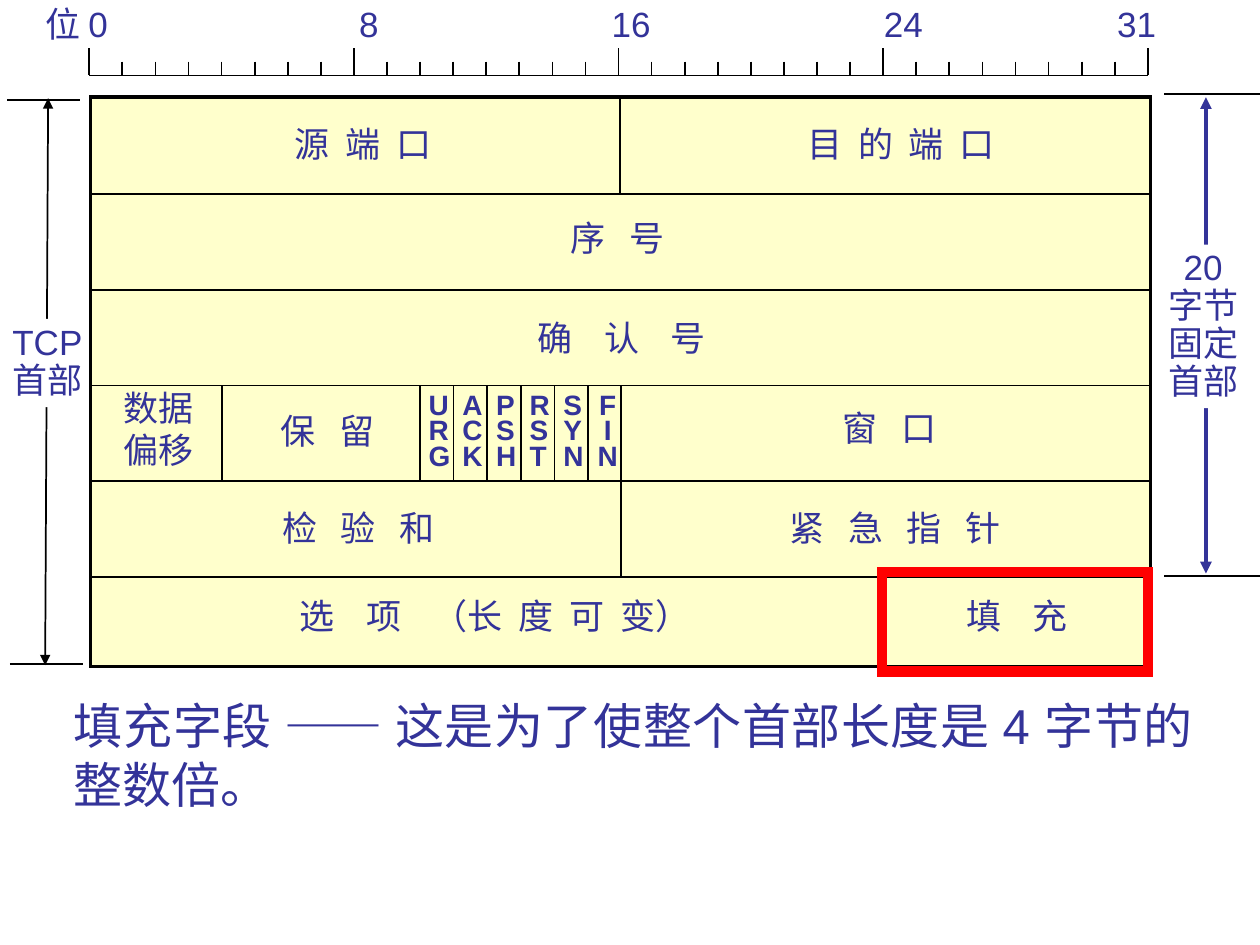
"""Build a slide that explains the padding field of the TCP header."""
from lxml import etree
from pptx import Presentation
from pptx import util as u
from pptx.dml.color import RGBColor
from pptx.enum import shapes, text
from pptx.oxml.ns import qn

COLORS = {"ink": "333399", "rule": "000000", "field": "FFFFCC",
          "paper": "FFFFFF", "accent": "FF0000"}
LEFT, TOP, WIDTH, HEIGHT = 1.83, 1.96, 21.36, 11.48
FIRST_RULE, ROW = 3.91, 1.93
MIDDLE = 12.52
FLAGS_LEFT, FLAG_WIDTH = 8.46, 0.68
RULER_LEFT, RULER_WIDTH, RULER_Y, BITS = 1.8, 21.34, 1.52, 32
GAP_STEP = 2.25

FIELDS = [
    ("源 端 口", 2, 5.69, 2.34, 4.0),
    ("目 的 端 口", 2, 16.03, 2.34, 5.0),
    ("序 号", 3, 11.25, 4.24, 3.84),
    ("确 认 号", 4, 10.59, 6.25, 5.11),
    ("保 留", 3, 5.41, 8.13, 3.0),
    ("窗 口", 3, 16.74, 8.08, 3.0),
    ("检 验 和", 3, 5.44, 10.08, 4.4),
    ("紧 急 指 针", 3, 15.67, 10.08, 5.6),
    ("填 充", 4, 19.23, 11.86, 3.48),
]
FLAGS = ["URG", "ACK", "PSH", "RST", "SYN", "FIN"]


def rgb(name):
    """Return the palette colour called name."""
    return RGBColor.from_string(COLORS[name])


def add_line(slide, start, end, color="rule", width=1, arrows=False):
    """Draw a straight line, with an arrowhead at both ends if asked."""
    line = slide.shapes.add_connector(
        shapes.MSO_CONNECTOR.STRAIGHT, *map(u.Cm, (*start, *end)))
    line.line.color.rgb = rgb(color)
    line.line.width = u.Pt(width)
    if arrows:
        for end_tag in ("a:headEnd", "a:tailEnd"):
            etree.SubElement(line.line._get_or_add_ln(), qn(end_tag), type="triangle")
    etree.SubElement(line._element.spPr, qn("a:effectLst"))


def add_frame(slide, box, color, width, fill=None):
    """Draw a square-cornered outline, filled only if a fill is named."""
    frame = slide.shapes.add_shape(shapes.MSO_SHAPE.RECTANGLE, *map(u.Cm, box))
    frame.shadow.inherit = False
    frame.line.color.rgb = rgb(color)
    frame.line.width = u.Pt(width)
    etree.SubElement(frame.line._get_or_add_ln(), qn("a:miter"), lim="800000")
    if fill:
        frame.fill.solid()
        frame.fill.fore_color.rgb = rgb(fill)
    else:
        frame.fill.background()


def add_text(slide, box, lines, size=20, bold=False, wrap=False, align="LEFT",
             spacing=None, fill=None, tabs=()):
    """Write lines, each a list of (wording, letter spacing) runs."""
    label = slide.shapes.add_textbox(*map(u.Cm, box))
    if fill:
        label.fill.solid()
        label.fill.fore_color.rgb = rgb(fill)
    frame = label.text_frame
    frame.word_wrap = wrap
    frame.auto_size = text.MSO_AUTO_SIZE.SHAPE_TO_FIT_TEXT
    for index, runs in enumerate(lines):
        paragraph = frame.add_paragraph() if index else frame.paragraphs[0]
        if tabs:
            stops = etree.SubElement(paragraph._p.get_or_add_pPr(), qn("a:tabLst"))
            for stop in tabs:
                etree.SubElement(stops, qn("a:tab"), pos=str(u.Cm(stop)), algn="l")
        paragraph.alignment = getattr(text.PP_ALIGN, align)
        if spacing:
            paragraph.line_spacing = spacing
        for wording, tracking in runs:
            run = paragraph.add_run()
            run.text = wording
            run.font.name = "Arial"
            run.font.size = u.Pt(size)
            run.font.bold = bold
            run.font.color.rgb = rgb("ink")
            if tracking:
                run._r.get_or_add_rPr().set("spc", str(round(tracking * 100)))


def plain(lines):
    """Turn each wording into a line of one run without letter spacing."""
    return [[(line, 0)] for line in lines]


def tracked(wording, gap):
    """Return a run whose letters stand about gap space widths apart."""
    return wording, GAP_STEP * (gap - 1)


def add_ruler(slide):
    """Draw the bit ruler with a tall tick at every byte."""
    add_line(slide, (RULER_LEFT, RULER_Y), (RULER_LEFT + RULER_WIDTH, RULER_Y))
    for bit in range(BITS + 1):
        x = RULER_LEFT + bit * RULER_WIDTH / BITS
        add_line(slide, (x, 1.24 if bit % 8 else 0.97), (x, RULER_Y))
    add_text(slide, (0.67, -0.08, 22.96, 1.09), plain(["位 0\t8\t16\t24\t31"]),
             wrap=True, tabs=(6.32, 11.41, 16.9, 21.6))


def add_spans(slide):
    """Mark the extent of the whole header and of its fixed part."""
    add_line(slide, (0.97, 1.98), (0.91, 13.41), arrows=True)
    add_text(slide, (0, 6.43, 1.93, 1.78), plain(["TCP", "首部"]),
             spacing=0.9, fill="paper")
    add_line(slide, (24.31, 1.96), (24.31, 11.56), "ink", 2.25, arrows=True)
    add_text(slide, (23.29, 4.93, 1.93, 3.3), plain(["20", "字节", "固定", "首部"]),
             align="CENTER", spacing=0.9, fill="paper")
    for x, y, length in ((23.47, 1.9, 2.31), (23.47, 11.61, 2.31),
                         (0.15, 2.01, 1.47), (0.2, 13.39, 1.47)):
        add_line(slide, (x, y), (x + length, y))


def add_header(slide):
    """Draw the header grid with its field names and flags."""
    add_frame(slide, (LEFT, TOP, WIDTH, HEIGHT), "rule", 2, "field")
    rules = [FIRST_RULE + row * ROW for row in range(5)]
    for y in rules:
        add_line(slide, (LEFT, y), (LEFT + WIDTH, y))
    add_line(slide, (12.5, TOP), (12.5, rules[0]))
    add_line(slide, (MIDDLE, rules[2]), (MIDDLE, rules[4]))
    flag_lefts = [FLAGS_LEFT + i * FLAG_WIDTH for i in range(len(FLAGS))]
    for x in [4.47, *flag_lefts]:
        add_line(slide, (x, rules[2]), (x, rules[3]))
    for wording, gap, x, y, width in FIELDS:
        add_text(slide, (x, y, width, 1.09), [[tracked(wording, gap)]], wrap=True)
    add_text(slide, (2.24, 7.67, 1.93, 1.93), plain(["数据", "偏移"]))
    add_text(slide, (5.79, 11.86, 10.5, 1.09),
             [[tracked("选 项 ", 4), ("（", 0), tracked("长 度 可 ", 2), ("变）", 0)]],
             wrap=True)
    for x, flag in zip(flag_lefts, FLAGS):
        add_text(slide, (x - 0.07, 7.85, 0.92, 1.78), plain(flag), size=16,
                 bold=True, spacing=0.75, align="CENTER" if flag == "FIN" else "LEFT")


def main():
    """Build and save the slide."""
    deck = Presentation()
    deck.slide_width, deck.slide_height = u.Cm(25.4), u.Cm(19.05)
    slide = deck.slides.add_slide(deck.slide_layouts[6])
    add_spans(slide)
    add_header(slide)
    add_ruler(slide)
    add_frame(slide, (17.78, 11.53, 5.36, 2.01), "accent", 6)
    add_text(slide, (1.24, 13.89, 23.06, 2.64),
             plain(["填充字段 —— 这是为了使整个首部长度是 4 字节的整数倍。"]),
             size=28, wrap=True, align="JUSTIFY")
    deck.save("out.pptx")


if __name__ == "__main__":
    main()
